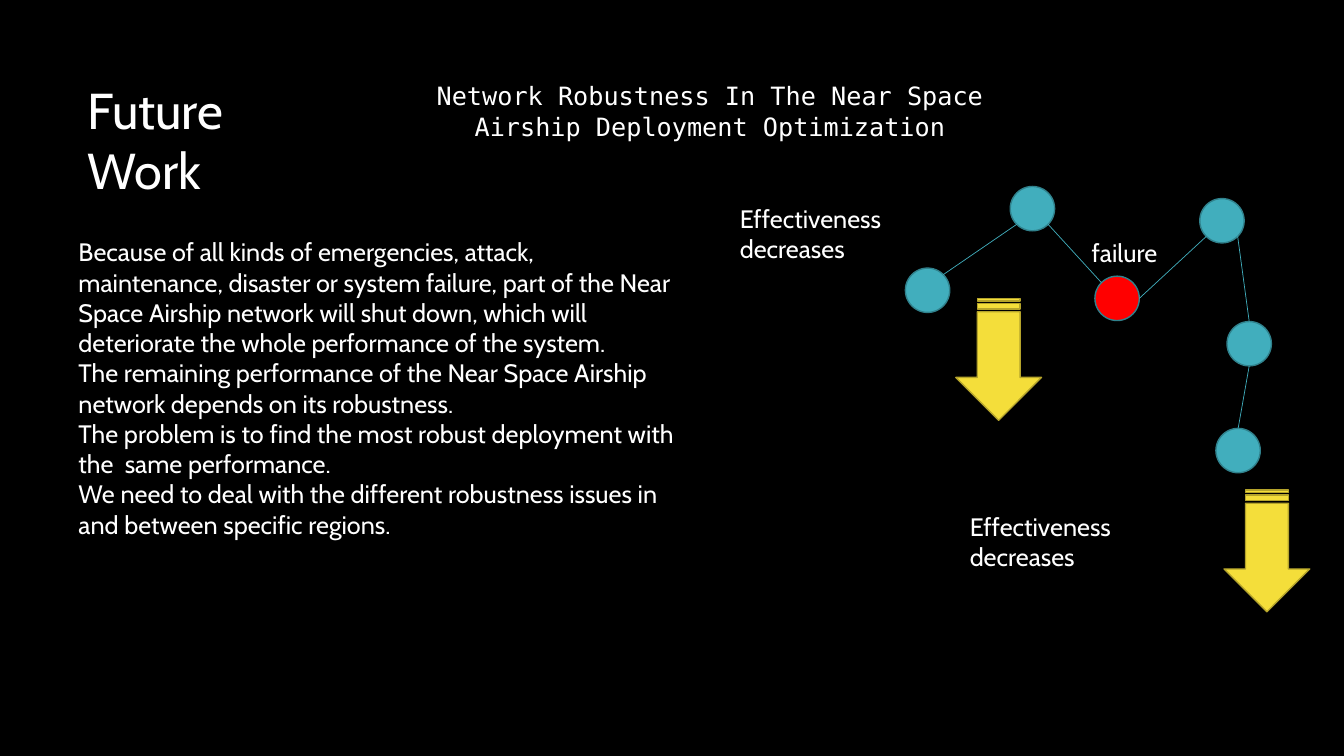
from math import cos, radians, sin

from lxml import etree
from pptx import Presentation
from pptx.dml.color import RGBColor
from pptx.enum.shapes import MSO_CONNECTOR as CONN, MSO_SHAPE as SHAPE
from pptx.enum.text import MSO_ANCHOR as ANCHOR, MSO_AUTO_SIZE as AUTO, PP_ALIGN as ALIGN
from pptx.oxml.ns import qn
from pptx.util import Inches, Pt

BLACK = RGBColor(0x00, 0x00, 0x00)
WHITE = RGBColor(0xFF, 0xFF, 0xFF)
TEAL = RGBColor(0x41, 0xAE, 0xBD)
DARK_TEAL = RGBColor(0x30, 0x81, 0x8C)
RED = RGBColor(0xFF, 0x00, 0x00)
YELLOW = RGBColor(0xF4, 0xDE, 0x3A)
OLIVE = RGBColor(0xB5, 0xA4, 0x2B)

SANS, MONO = "Cabin", "DejaVu Sans Mono"
CELL = 0.1  # side of a square grid cell, in inches

# Boxes in grid cells: left, top, width, height
TITLE_BOX = (7.7, 7.3, 18, 13.1)
SUBTITLE_BOX = (37.4, 7.5, 66, 7.1)
BODY_BOX = (6.8, 23, 61.9, 31.3)
NETWORK_BOX = (72.4, 18.5, 60, 43)

BODY = [
    "Because of all kinds of emergencies, attack, maintenance, disaster or system "
    "failure, part of the Near Space Airship network will shut down, which will "
    "deteriorate the whole performance of the system.",
    "The remaining performance of the Near Space Airship network depends on its robustness.",
    "The problem is to find the most robust deployment with the  same performance.",
    "We need to deal with the different robustness issues in and between specific regions.",
]

# Network parts, in cells from the corner of its box
NODE_SIZE = 4.4
NODES = {  # centre of each airship
    "west": (19.6, 10.3),
    "north": (30, 2.2),
    "failed": (38.4, 11.1),
    "east": (48.8, 3.4),
    "middle": (51.5, 15.6),
    "south": (50.4, 26.2),
}
LINKS = [  # node and angle on its rim (clockwise from the right), at both ends
    ("west", -45, "north", 135),
    ("north", 45, "failed", 225),
    ("east", 135, "failed", 0),
    ("middle", -90, "east", 45),
    ("south", -90, "middle", 90),
]
ARROW_SIZE = (12.1, 8.5)
ARROWS = [(26.65, 17.15), (53.25, 36.15)]  # centres
LABELS = [  # text, left, top, width, wrapped
    ("failure", 34.9, 4.6, 8.6, False),
    ("Effectiveness decreases", 0, 1.2, 18, True),
    ("Effectiveness decreases", 22.8, 31.7, 18, True),
]


def cells(*values):
    return [Inches(v * CELL) for v in values]


def write(tf, paragraphs, size=18, font=SANS, align=ALIGN.LEFT, wrap=True):
    tf.word_wrap, tf.auto_size, tf.vertical_anchor = wrap, AUTO.NONE, ANCHOR.TOP
    for i, text in enumerate(paragraphs):
        p = tf.add_paragraph() if i else tf.paragraphs[0]
        p.alignment = align
        r = p.add_run()
        r.text = text
        r.font.size, r.font.name = Pt(size), font
        r.font.color.rgb = WHITE


def add_text(s, box, paragraphs, **style):
    write(s.shapes.add_textbox(*cells(*box)).text_frame, paragraphs, **style)


def add_centred(s, kind, centre, size, fill, line):
    (x, y), (w, h) = centre, size
    sp = s.shapes.add_shape(kind, *cells(x - w / 2, y - h / 2, w, h))
    sp.shadow.inherit = False
    sp.fill.solid()
    sp.fill.fore_color.rgb = fill
    sp.line.color.rgb, sp.line.width = line, Pt(1)
    return sp


def add_title(s, box):
    sp = s.shapes.title
    sp.left, sp.top, sp.width, sp.height = cells(*box)
    write(sp.text_frame, ["Future Work"], size=36)


def add_network(s, box):
    left, top = box[:2]

    def rim(name, angle):
        x, y = NODES[name]
        a = radians(angle)
        return cells(left + x + NODE_SIZE / 2 * cos(a), top + y + NODE_SIZE / 2 * sin(a))

    # Airships
    for name, (x, y) in NODES.items():
        fill = RED if name == "failed" else TEAL
        add_centred(s, SHAPE.OVAL, (left + x, top + y), (NODE_SIZE, NODE_SIZE), fill, DARK_TEAL)

    # Links between them
    for start, start_angle, end, end_angle in LINKS:
        link = s.shapes.add_connector(CONN.STRAIGHT, *rim(start, start_angle), *rim(end, end_angle))
        link.line.color.rgb, link.line.width = TEAL, Pt(0.5)
        etree.SubElement(link._element.spPr, qn("a:effectLst"))

    # Downward arrows
    for x, y in ARROWS:
        arrow = add_centred(s, SHAPE.STRIPED_RIGHT_ARROW, (left + x, top + y),
                            ARROW_SIZE, YELLOW, OLIVE)
        arrow.rotation = 90

    # Labels
    for text, x, y, width, wrap in LABELS:
        add_text(s, (left + x, top + y, width, 7 if wrap else 4), [text], wrap=wrap)


prs = Presentation()
prs.slide_width, prs.slide_height = Inches(13.33), Inches(7.5)
s = prs.slides.add_slide(prs.slide_layouts[5])
s.background.fill.solid()
s.background.fill.fore_color.rgb = BLACK

add_title(s, TITLE_BOX)
add_network(s, NETWORK_BOX)
add_text(s, SUBTITLE_BOX, ["Network Robustness In The Near Space Airship Deployment Optimization"],
         font=MONO, align=ALIGN.CENTER)
add_text(s, BODY_BOX, BODY)

prs.save("out.pptx")
